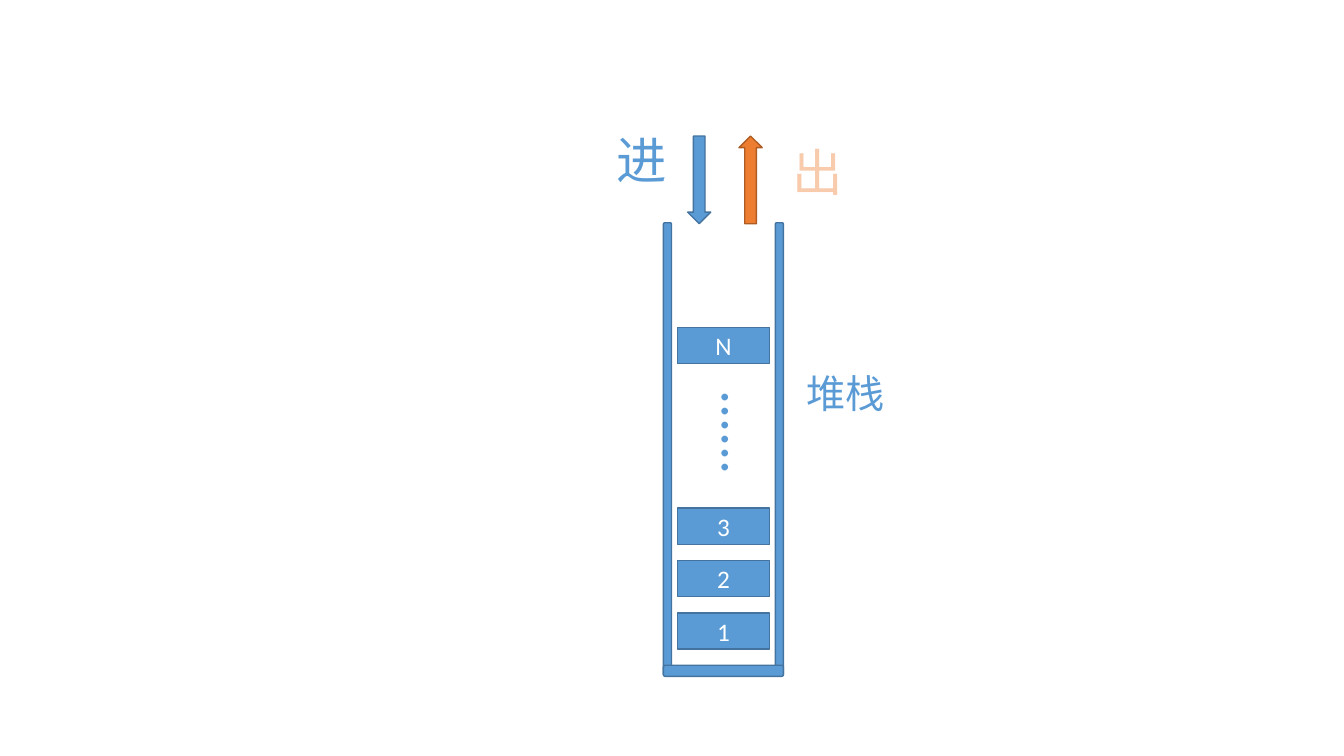
from dataclasses import dataclass

from lxml.etree import SubElement
from pptx import Presentation
from pptx.dml.color import RGBColor
from pptx.enum.shapes import MSO_SHAPE as SHAPE
from pptx.enum.text import MSO_ANCHOR as ANCHOR, MSO_AUTO_SIZE as AUTO, PP_ALIGN as ALIGN
from pptx.oxml.ns import qn
from pptx.util import Inches, Pt


@dataclass(frozen=True)
class Theme:
    font: str = "Calibri"
    blue: str = "5B9BD5"
    blue_edge: str = "43739E"
    orange: str = "ED7D31"
    orange_edge: str = "AF5C24"
    peach: str = "F8CBAD"
    white: str = "FFFFFF"
    item: int = 18
    title: int = 28
    action: int = 36
    dots: int = 40


THEME = Theme()


def rgb(value):
    return RGBColor.from_string(value)


def add_run(tf, text, size, color):
    r = tf.paragraphs[0].add_run()
    r.text = text
    for name, value in {"name": THEME.font, "size": Pt(size)}.items():
        setattr(r.font, name, value)
    r.font.color.rgb = rgb(color)
    return r


def add_block(s, kind, box, fill=THEME.blue, edge=THEME.blue_edge, rotation=0):
    sp = s.shapes.add_shape(kind, *map(Inches, box))
    sp.shadow.inherit = False
    sp.rotation = rotation
    sp.fill.solid()
    sp.fill.fore_color.rgb = rgb(fill)
    sp.line.color.rgb = rgb(edge)
    sp.line.width = Pt(1)
    return sp


def add_item(s, text, top):
    sp = add_block(s, SHAPE.RECTANGLE, (6.72, top, 0.91, 0.36))
    tf = sp.text_frame
    tf.vertical_anchor = ANCHOR.MIDDLE
    tf.paragraphs[0].alignment = ALIGN.CENTER
    add_run(tf, text, THEME.item, THEME.white)


def add_label(s, text, box, size, color=THEME.blue, rotation=0):
    sp = s.shapes.add_textbox(*map(Inches, box))
    sp.rotation = rotation
    tf = sp.text_frame
    for name, value in {"word_wrap": True, "auto_size": AUTO.SHAPE_TO_FIT_TEXT}.items():
        setattr(tf, name, value)
    return add_run(tf, text, size, color)


def outline_text(r, color, width):
    """Draw a coloured line around the letters of a run."""
    rPr = r.font._element
    ln = SubElement(rPr, qn("a:ln"), w=str(Pt(width)))
    SubElement(SubElement(ln, qn("a:solidFill")), qn("a:srgbClr"), val=color)
    rPr.insert(0, ln)


def add_container(s):
    for left in (6.58, 7.69):
        add_block(s, SHAPE.ROUNDED_RECTANGLE, (left, 2.21, 0.08, 4.49))
    add_block(s, SHAPE.ROUNDED_RECTANGLE, (6.58, 6.6, 1.19, 0.11))


def main():
    prs = Presentation()
    prs.slide_width, prs.slide_height = Inches(13.33), Inches(7.5)
    s = prs.slides.add_slide(prs.slide_layouts[6])

    add_container(s)
    add_label(s, "堆栈", (7.9, 3.61, 1.47, 0.57), THEME.title)

    for i, text in enumerate("123"):
        add_item(s, text, 6.08 - 0.52 * i)
    add_item(s, "N", 3.25)
    add_label(s, "......", (6.75, 4.02, 1.26, 0.77), THEME.dots, rotation=90)

    add_block(s, SHAPE.RIGHT_ARROW, (6.5, 1.67, 0.87, 0.23), rotation=90)
    add_label(s, "进", (6.02, 1.23, 0.8, 0.71), THEME.action)
    add_block(s, SHAPE.RIGHT_ARROW, (7.01, 1.67, 0.87, 0.23),
              THEME.orange, THEME.orange_edge, rotation=270)
    pop = add_label(s, "出", (7.76, 1.35, 0.8, 0.71), THEME.action, THEME.peach)
    outline_text(pop, THEME.orange, 1.75)

    prs.save("out.pptx")


if __name__ == "__main__":
    main()
